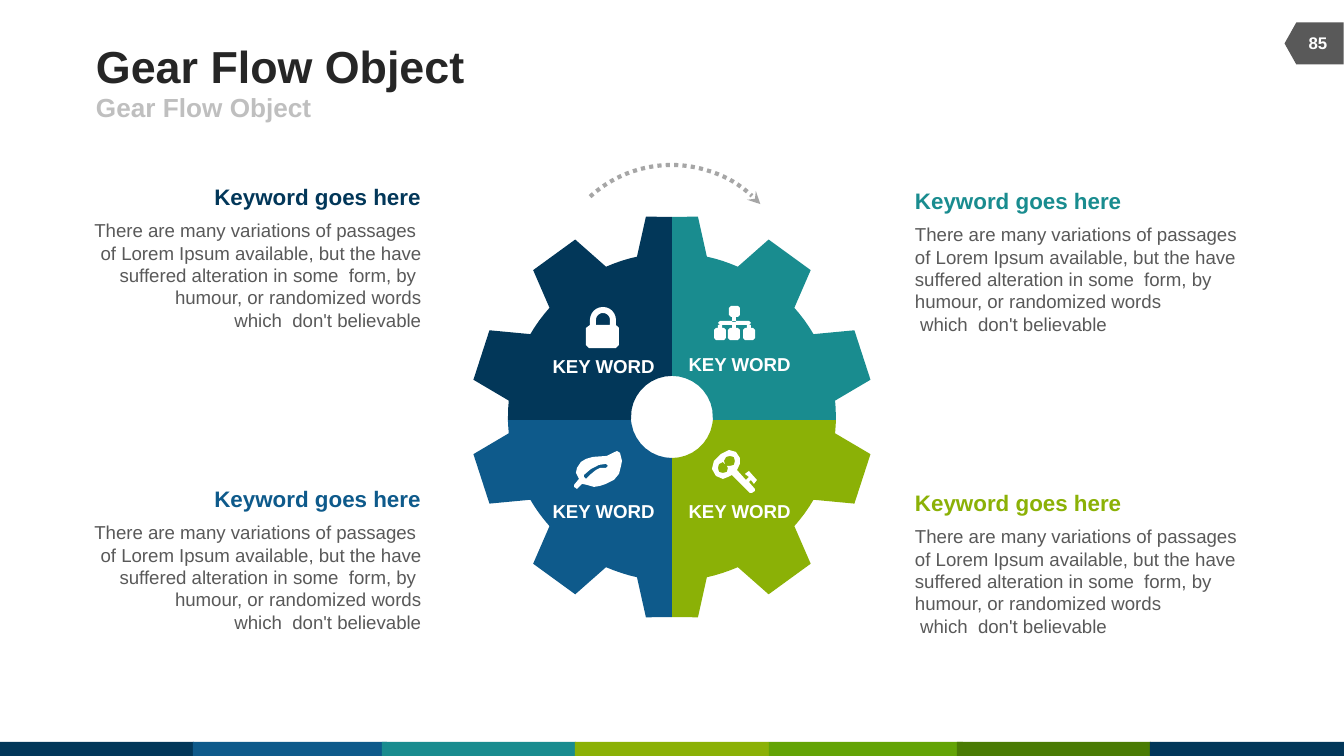
from math import cos, radians, sin

from lxml import etree
from pptx import Presentation
from pptx.dml.color import RGBColor
from pptx.enum.dml import MSO_LINE
from pptx.enum.shapes import MSO_SHAPE
from pptx.enum.text import MSO_ANCHOR, MSO_AUTO_SIZE, PP_ALIGN
from pptx.oxml.ns import qn
from pptx.util import Emu, Pt

RECTANGLE, ARC, TAG = MSO_SHAPE.RECTANGLE, MSO_SHAPE.ARC, MSO_SHAPE.FLOWCHART_OFFPAGE_CONNECTOR
LEFT, CENTER, RIGHT = PP_ALIGN.LEFT, PP_ALIGN.CENTER, PP_ALIGN.RIGHT
TOP, MIDDLE = MSO_ANCHOR.TOP, MSO_ANCHOR.MIDDLE
NO_AUTOFIT = MSO_AUTO_SIZE.NONE
DOTTED = MSO_LINE.ROUND_DOT

SLIDE_WIDTH, SLIDE_HEIGHT = 1344, 756
EMU_PER_PX = 9144000 / SLIDE_WIDTH
COLORS = {
    "navy": "023759", "blue": "0E5A8B", "teal": "198C8F", "lime": "8BB106",
    "green": "63A406", "forest": "4A7B04", "white": "FFFFFF", "title": "262626",
    "subtitle": "BFBFBF", "body": "595959", "arrow": "A6A6A6",
}
FOOTER = [(0, "navy"), (193, "blue"), (382, "teal"), (575, "lime"),
          (769, "green"), (957, "forest"), (1150, "navy")]
GEAR_X, GEAR_Y, SPLIT_Y = 672, 417, 420
TIP_RADIUS, ROOT_RADIUS, HOLE_RADIUS = 202, 164, 41
TOOTH = [(-12.3, ROOT_RADIUS), (-7.4, TIP_RADIUS), (7.4, TIP_RADIUS), (12.3, ROOT_RADIUS),
         (15, ROOT_RADIUS), (18, ROOT_RADIUS), (21, ROOT_RADIUS)]
QUADRANTS = [("teal", 0, 688, 353), ("lime", 90, 688, 499),
             ("blue", 180, 552, 499), ("navy", 270, 552, 355)]
KEYWORDS = [("lime", 915, 489, LEFT), ("teal", 915, 187, LEFT),
            ("navy", 86, 183, RIGHT), ("blue", 86, 485, RIGHT)]
FIRST_LINE = "There are many variations of passages"
OTHER_LINES = ("of Lorem Ipsum available, but the have suffered alteration in some  form, by "
               "\vhumour, or randomized words\v which  don't believable")
LEAF = [
    [(621, 466), (619, 474), (614, 480), (606, 484), (600, 486), (594, 487), (587, 485),
     (582, 484), (580, 486), (577, 489), (574, 487), (574, 485), (579, 479), (576, 473),
     (577, 468), (581, 462), (586, 459), (593, 457), (607, 456), (613, 453), (617, 451),
     (620, 453), (622, 461)],
    [(606, 464), (599, 465), (591, 469), (584, 475), (584, 477), (586, 479), (590, 475),
     (596, 470), (600, 468), (606, 468), (608, 466)],
]
KEY = [
    [(754, 484), (751, 480), (749, 482), (755, 489), (755, 491), (752, 493), (750, 493),
     (732, 475), (728, 477), (723, 479), (716, 476), (712, 469), (714, 461), (721, 454),
     (729, 450), (736, 452), (740, 458), (740, 464), (737, 470), (746, 480), (749, 477),
     (745, 474), (749, 471), (757, 480)],
    [(730, 456), (726, 457), (724, 461), (725, 464), (723, 462), (719, 464), (718, 468),
     (719, 472), (723, 473), (727, 472), (728, 468), (727, 466), (730, 466), (734, 465),
     (735, 461), (734, 457)],
]


def px(value):
    return Emu(round(value * EMU_PER_PX))


def color(name):
    return RGBColor.from_string(COLORS[name])


def polar(center_x, center_y, radius, angle):
    return (center_x + radius * sin(radians(angle)), center_y - radius * cos(radians(angle)))


def arc_points(center_x, center_y, radius, start, end, step):
    return [polar(center_x, center_y, radius, angle) for angle in range(start, end + step, step)]


def rounded_box(left, top, width, height):
    right, bottom = left + width, top + height
    return [(left + 2, top), (right - 2, top), (right, top + 2), (right, bottom - 2),
            (right - 2, bottom), (left + 2, bottom), (left, bottom - 2), (left, top + 2)]


def straight_box(left, top, width, height):
    right, bottom = left + width, top + height
    return [(left, top), (right, top), (right, bottom), (left, bottom)]


def set_text(frame, text, size=10, tint="body", bold=False, align=LEFT, anchor=TOP, wrap=False):
    frame.margin_left = frame.margin_right = frame.margin_top = frame.margin_bottom = 0
    frame.auto_size = NO_AUTOFIT
    frame.word_wrap = wrap
    frame.vertical_anchor = anchor
    for index, line in enumerate([text] if isinstance(text, str) else text):
        para = frame.add_paragraph() if index else frame.paragraphs[0]
        para.text = line
        para.alignment = align
        para.space_before = Pt(0)
        for span in para.runs:
            span.font.name = "Arial"
            span.font.size = Pt(size)
            span.font.bold = bold
            span.font.color.rgb = color(tint)


def add_label(page, bounds, text, **style):
    box = page.shapes.add_textbox(*map(px, bounds))
    set_text(box.text_frame, text, **style)


def fill_placeholder(box, bounds, text, **style):
    box.left, box.top, box.width, box.height = map(px, bounds)
    set_text(box.text_frame, text, anchor=MIDDLE, bold=True, **style)


def paint(shape, tint):
    shape.shadow.inherit = False
    shape.fill.solid()
    shape.fill.fore_color.rgb = color(tint)
    shape.line.fill.background()


def add_block(page, kind, bounds, tint, rotation=0):
    block = page.shapes.add_shape(kind, *map(px, bounds))
    block.rotation = rotation
    paint(block, tint)


def add_outline(page, contours, tint):
    scaled = [[(px(x), px(y)) for x, y in contour] for contour in contours]
    builder = page.shapes.build_freeform(*scaled[0][0], scale=1.0)
    for index, contour in enumerate(scaled):
        if index:
            builder.move_to(*contour[0])
        builder.add_line_segments(contour[1:], close=True)
    paint(builder.convert_to_shape(), tint)


def add_flow_arrow(page):
    arrow = page.shapes.add_shape(ARC, *map(px, (551, 165, 241, 241)))
    arrow.rotation = 317.5
    arrow.shadow.inherit = False
    arrow.fill.background()
    arrow.line.color.rgb = color("arrow")
    arrow.line.width = Pt(2.25)
    arrow.line.dash_style = DOTTED
    etree.SubElement(arrow.line._get_or_add_ln(), qn("a:tailEnd"), type="stealth")


def quadrant_outline(start):
    end = start + 90
    rim = [(36 * tooth + offset, radius) for tooth in range(11) for offset, radius in TOOTH]
    points = [polar(GEAR_X, GEAR_Y, radius, angle) for angle, radius in rim if start < angle < end]
    hole = arc_points(GEAR_X, GEAR_Y, HOLE_RADIUS, start, end, 10)[::-1]
    edges = []
    for angle in (start, end):
        level = angle % 180 == 90
        x, y = polar(GEAR_X, GEAR_Y, ROOT_RADIUS if level else 200, angle)
        edges.append((x, SPLIT_Y if level else y))
    if start % 180:
        hole[-1] = (hole[-1][0], SPLIT_Y)
    else:
        hole[0] = (hole[0][0], SPLIT_Y)
    return [edges[0], *points, edges[1], *hole]


def lock_contours():
    shackle = arc_points(603, 320, 13, -90, 90, 15)
    body = [(590, 325), *shackle, (616, 325), (619, 328), (619, 345), (616, 348),
            (589, 348), (586, 345), (586, 328)]
    return [body, [(596, 325), *arc_points(603, 320, 7, -90, 90, 15), (610, 325)]]


def chart_contours():
    columns = (720, 734, 749)
    boxes = [rounded_box(729, 306, 11, 11)] + [rounded_box(x - 6, 328, 12, 12) for x in columns]
    bars = [straight_box(732, 317, 4, 5), rounded_box(718, 321, 33, 4)]
    return boxes + bars + [straight_box(x - 2, 325, 4, 3) for x in columns]


def add_keyword(page, tint, left, top, align):
    heading_left = left if align == LEFT else left + 127
    first = FIRST_LINE if align == LEFT else FIRST_LINE + " "
    add_label(page, (left, top + 36, 335, 113), [first, OTHER_LINES], align=align, wrap=True)
    add_label(page, (heading_left, top, 208, 27), "Keyword goes here",
              size=12, tint=tint, bold=True, align=align)


def main():
    deck = Presentation()
    deck.slide_width, deck.slide_height = px(SLIDE_WIDTH), px(SLIDE_HEIGHT)
    page = deck.slides.add_slide(deck.slide_layouts[1])
    fill_placeholder(page.shapes.title, (96, 39, 829, 53), "Gear Flow Object",
                     size=24, tint="title")
    subtitle = page.placeholders[1]
    properties = subtitle.text_frame.paragraphs[0]._p.get_or_add_pPr()
    properties.set("marL", "0")
    properties.set("indent", "0")
    etree.SubElement(properties, qn("a:buNone"))
    fill_placeholder(subtitle, (96, 92, 605, 30), "Gear Flow Object", size=14, tint="subtitle")

    for left, tint in FOOTER:
        add_block(page, RECTANGLE, (left, 742, SLIDE_WIDTH - 1150, 14), tint)
    add_block(page, TAG, (1293, 14, 42, 59), "body", rotation=90)
    add_label(page, (1292, 23, 52, 40), "85", size=9, tint="white", bold=True,
              align=CENTER, anchor=MIDDLE)

    add_flow_arrow(page)
    for tint, start, left, top in QUADRANTS:
        add_outline(page, [quadrant_outline(start)], tint)
        add_label(page, (left, top, 103, 23), "KEY WORD", tint="white", bold=True,
                  align=CENTER, anchor=MIDDLE)
    for contours in (lock_contours(), chart_contours(), LEAF, KEY):
        add_outline(page, contours, "white")
    for keyword in KEYWORDS:
        add_keyword(page, *keyword)
    deck.save("out.pptx")


if __name__ == "__main__":
    main()
